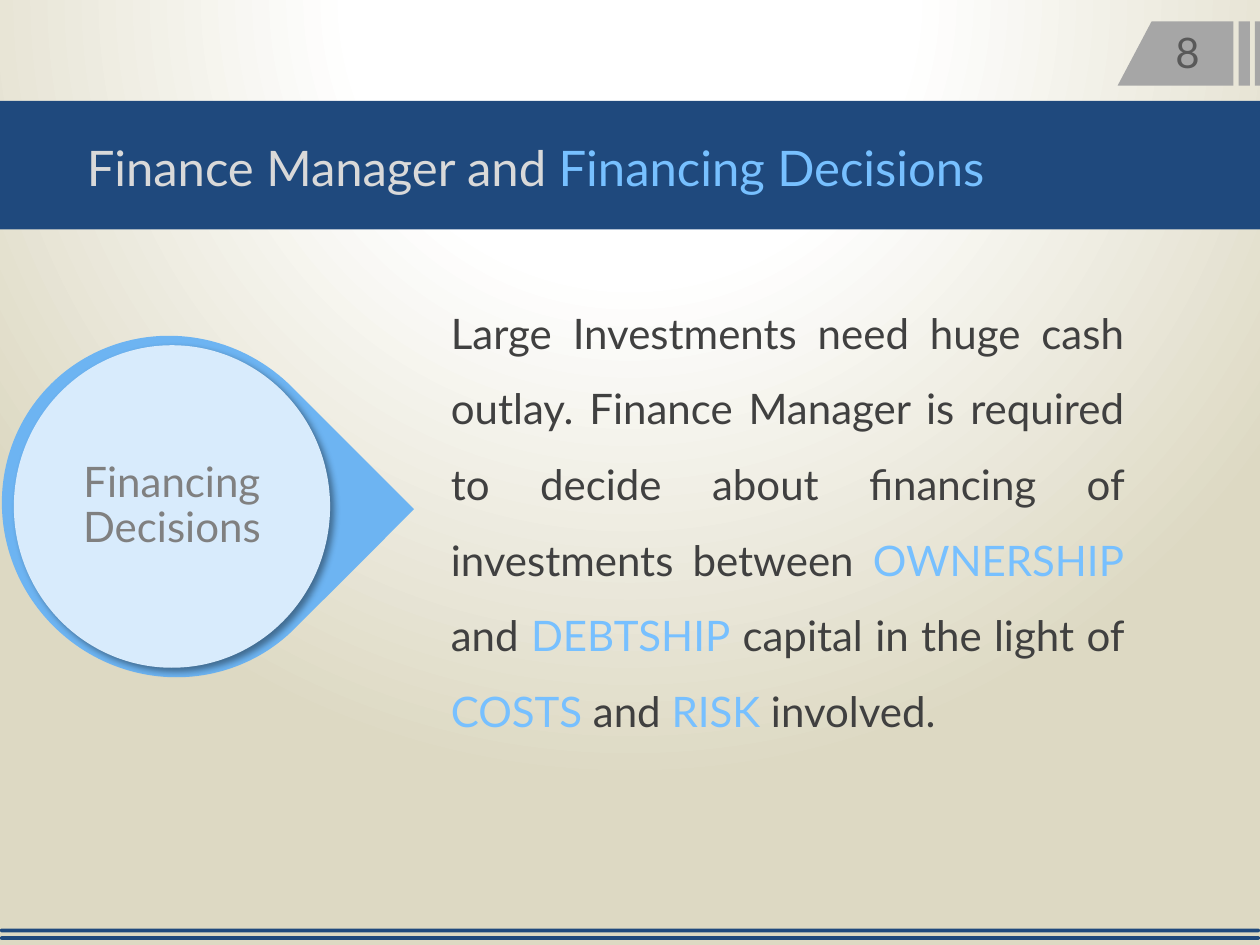
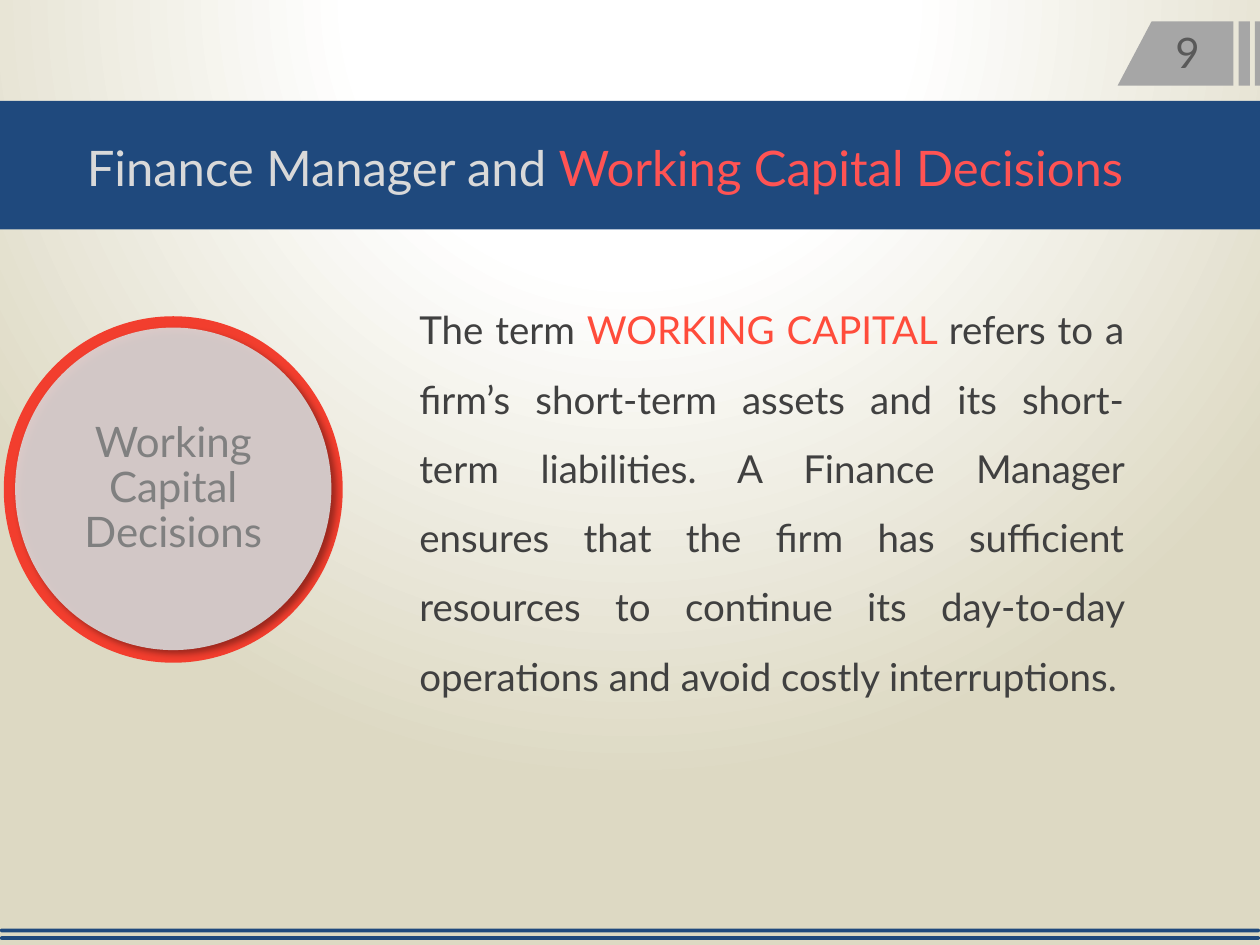
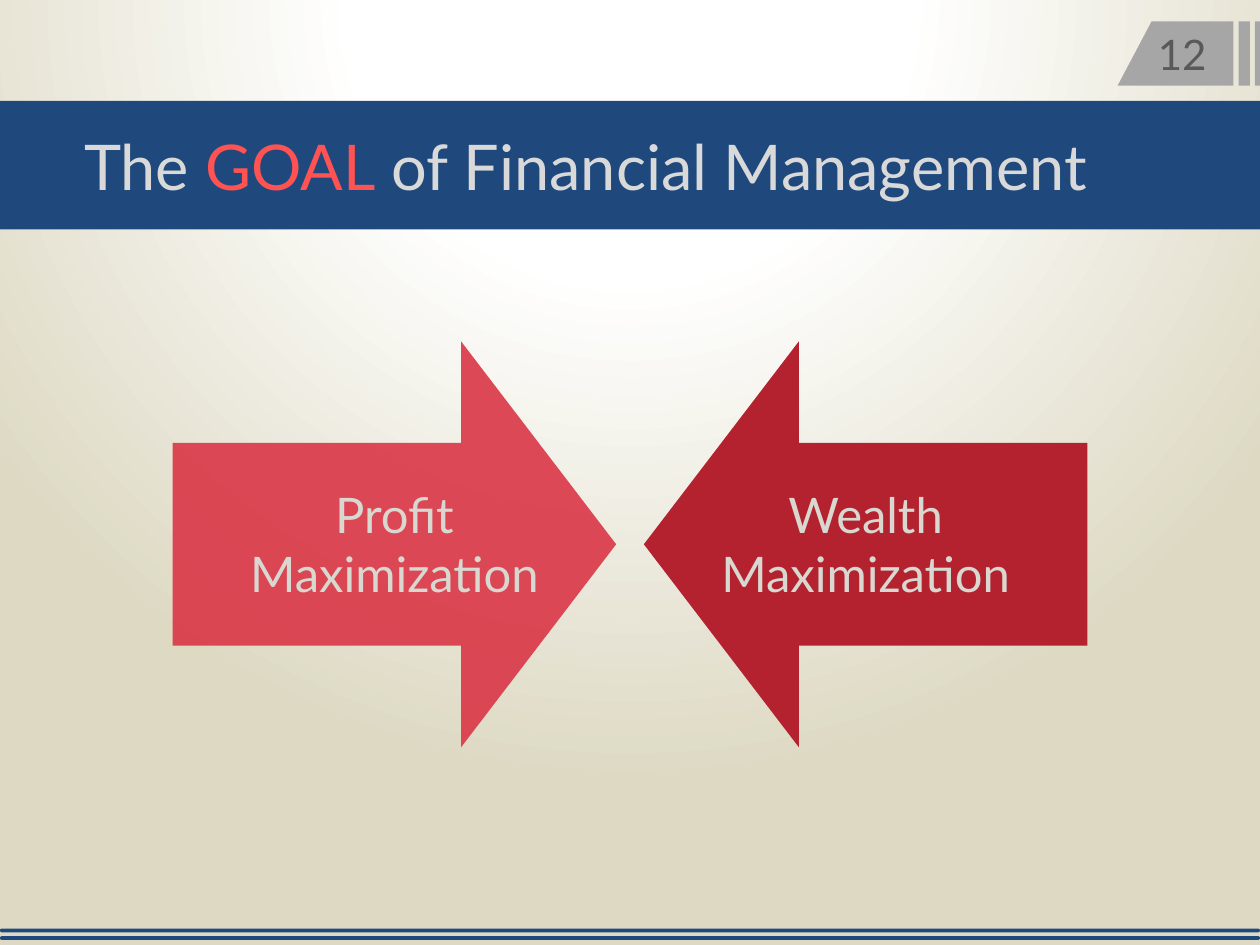
from lxml.etree import SubElement
from pptx import Presentation
from pptx.dml.color import RGBColor
from pptx.enum.shapes import MSO_SHAPE
from pptx.enum.text import MSO_ANCHOR, MSO_AUTO_SIZE, PP_ALIGN
from pptx.oxml.ns import qn
from pptx.util import Inches, Pt

FONT = "Lato"
WHITE, SAND, NAVY, TAB_GRAY = "FFFFFF", "DDD9C3", "1F497D", "A6A6A6"
TITLE, BODY, NUMBER, DISC_TEXT, ARROW_TEXT = "D9D9D9", "404040", "595959", "808080", "D8D8D1"
SKY, CORAL, TOMATO = "77C0FF", "FF5353", "FF4C3B"


def rgb(color):
    return RGBColor.from_string(color)


def set_background(master):
    """Radial gradient whose centre lies above the slide."""
    master.background.fill.gradient()
    grad = next(master.element.iter(qn("a:gradFill")))
    for child in list(grad):
        grad.remove(child)
    stops = SubElement(grad, qn("a:gsLst"))
    for pos, color in ((0, WHITE), (35, WHITE), (100, SAND)):
        stop = SubElement(stops, qn("a:gs"), pos=str(pos * 1000))
        SubElement(stop, qn("a:srgbClr"), val=color)
    circle = SubElement(grad, qn("a:path"), path="circle")
    SubElement(circle, qn("a:fillToRect"), l="50000", t="-80000", r="50000", b="180000")


def paint(sp, color, opacity=100):
    sp.shadow.inherit = False
    sp.fill.solid()
    sp.fill.fore_color.rgb = rgb(color)
    sp.line.fill.background()
    if opacity < 100:
        clr = sp.element.spPr.find(qn("a:solidFill"))[0]
        SubElement(clr, qn("a:alpha"), val=str(opacity * 1000))


def add_shape(s, kind, box, color, opacity=100):
    sp = s.shapes.add_shape(kind, *map(Inches, box))
    paint(sp, color, opacity)
    return sp


def drop_shadow(sp):
    effects = sp.element.spPr.find(qn("a:effectLst"))
    shadow = SubElement(effects, qn("a:outerShdw"), blurRad=str(Pt(4)), dist=str(Pt(3)),
                        dir=str(45 * 60000), algn="tl", rotWithShape="0")
    clr = SubElement(shadow, qn("a:srgbClr"), val="000000")
    SubElement(clr, qn("a:alpha"), val="40000")


def write(tf, runs, size, align=PP_ALIGN.LEFT, spacing=1.0):
    """Fill the first paragraph with (text, colour) runs."""
    tf.word_wrap = True
    p = tf.paragraphs[0]
    p.alignment = align
    p.line_spacing = spacing
    for text, color in runs:
        r = p.add_run()
        r.text = text
        r.font.name = FONT
        r.font.size = Pt(size)
        r.font.color.rgb = rgb(color)


def add_text(s, box, runs, size, **layout):
    tf = s.shapes.add_textbox(*map(Inches, box)).text_frame
    write(tf, runs, size, **layout)
    tf.auto_size = MSO_AUTO_SIZE.SHAPE_TO_FIT_TEXT


def add_page_tab(s, box):
    """Slanted tab followed by two stripes, the last cut by the slide edge."""
    x, y, w, h = box
    # (top left, bottom left, right) of each piece
    pieces = ((0.27, 0, 0.92), (0.96, 0.96, 1.05), (1.09, 1.09, w))
    builder = None
    for top_left, bottom_left, right in pieces:
        corners = [(Inches(x + dx), Inches(y + dy)) for dx, dy in
                   ((top_left, 0), (right, 0), (right, h), (bottom_left, h))]
        if builder is None:
            builder = s.shapes.build_freeform(*corners[0])
        else:
            builder.move_to(*corners[0])
        builder.add_line_segments(corners[1:], close=True)
    paint(builder.convert_to_shape(), TAB_GRAY)


def add_base(prs, title, title_box, title_size, number, number_box):
    """Blank slide with title band, footer rules and numbered tab."""
    s = prs.slides.add_slide(prs.slide_layouts[6])
    add_shape(s, MSO_SHAPE.RECTANGLE, (0, 0.8, 10, 1.02), NAVY)
    for y in (7.37, 7.43):
        rule = add_shape(s, MSO_SHAPE.ROUNDED_RECTANGLE, (0, y, 10, 0.03), NAVY)
        rule.adjustments[0] = 0.5
    add_page_tab(s, (8.87, 0.17, 1.13, 0.51))
    add_text(s, title_box, title, title_size)
    add_text(s, number_box, [(number, NUMBER)], 24)
    return s


def add_disc(s, box, label, color, opacity=100):
    disc = add_shape(s, MSO_SHAPE.OVAL, box, color, opacity)
    drop_shadow(disc)
    tf = disc.text_frame
    tf.margin_left = tf.margin_right = tf.margin_top = tf.margin_bottom = 0
    tf.vertical_anchor = MSO_ANCHOR.MIDDLE
    write(tf, [(label, DISC_TEXT)], 24, PP_ALIGN.CENTER, 0.9)


def add_body(s, box, runs, size):
    add_text(s, box, runs, size, align=PP_ALIGN.JUSTIFY, spacing=1.5)


def add_goal_arrow(s, kind, box, label, color, opacity=100):
    x, y, w, h = box
    arrow = add_shape(s, kind, box, color, opacity)
    arrow.adjustments[0] = 0.5
    arrow.adjustments[1] = 1.23 / h
    text_w, text_h = 2.81, 1.04
    text_box = (x + (w - text_w) / 2, y + (h - text_h) / 2, text_w, text_h)
    add_text(s, text_box, [(label, ARROW_TEXT)], 28, align=PP_ALIGN.CENTER)


def financing_slide(prs):
    title = [("Finance Manager and ", TITLE), ("Financing Decisions", SKY)]
    s = add_base(prs, title, (0.59, 1.04, 8.82, 0.57), 28, "8", (9.23, 0.16, 0.45, 0.5))
    drop = add_shape(s, MSO_SHAPE.TEAR, (0, 2.68, 2.74, 2.68), "6DB4F2")
    drop.rotation = 45
    add_disc(s, (0.11, 2.74, 2.51, 2.56), "Financing Decisions", "D8EBFC")
    add_body(s, (3.48, 2.19, 5.54, 3.66), [
        ("Large Investments need huge cash outlay. Finance Manager is required to decide "
         "about financing of investments between ", BODY),
        ("OWNERSHIP", SKY), (" and ", BODY), ("DEBTSHIP", SKY),
        (" capital in the light of ", BODY),
        ("COSTS", SKY), (" and ", BODY), ("RISK", SKY), (" involved.", BODY),
    ], 24)


def working_capital_slide(prs):
    title = [("Finance Manager and ", TITLE), ("Working Capital Decisions", CORAL)]
    s = add_base(prs, title, (0.59, 1.04, 9.08, 0.57), 28, "9", (9.23, 0.16, 0.45, 0.5))
    add_shape(s, MSO_SHAPE.OVAL, (0.03, 2.51, 2.69, 2.75), "F23E2E")
    add_disc(s, (0.12, 2.6, 2.51, 2.56), "Working Capital Decisions", "D9D9D9", 90)
    add_body(s, (3.23, 2.2, 5.79, 3.36), [
        ("The term ", BODY), ("WORKING CAPITAL ", TOMATO),
        ("refers to a firm’s short-term assets and its short-term liabilities. A Finance "
         "Manager ensures that the firm has sufficient resources to continue its "
         "day-to-day operations and avoid costly interruptions.", BODY),
    ], 22)


def goal_slide(prs):
    title = [("The ", TITLE), ("GOAL", CORAL), (" of Financial Management", TITLE)]
    s = add_base(prs, title, (0.57, 0.96, 8.95, 0.71), 36, "12", (9.09, 0.18, 0.68, 0.5))
    w, h = 3.52, 3.22
    add_goal_arrow(s, MSO_SHAPE.RIGHT_ARROW, (1.37, 2.71, w, h),
                   "Profit Maximization", "DA3646", 90)
    add_goal_arrow(s, MSO_SHAPE.LEFT_ARROW, (5.11, 2.71, w, h),
                   "Wealth Maximization", "B42230")


def main():
    prs = Presentation()
    prs.slide_width, prs.slide_height = Inches(10), Inches(7.5)
    set_background(prs.slide_master)
    financing_slide(prs)
    working_capital_slide(prs)
    goal_slide(prs)
    prs.save("out.pptx")


if __name__ == "__main__":
    main()
